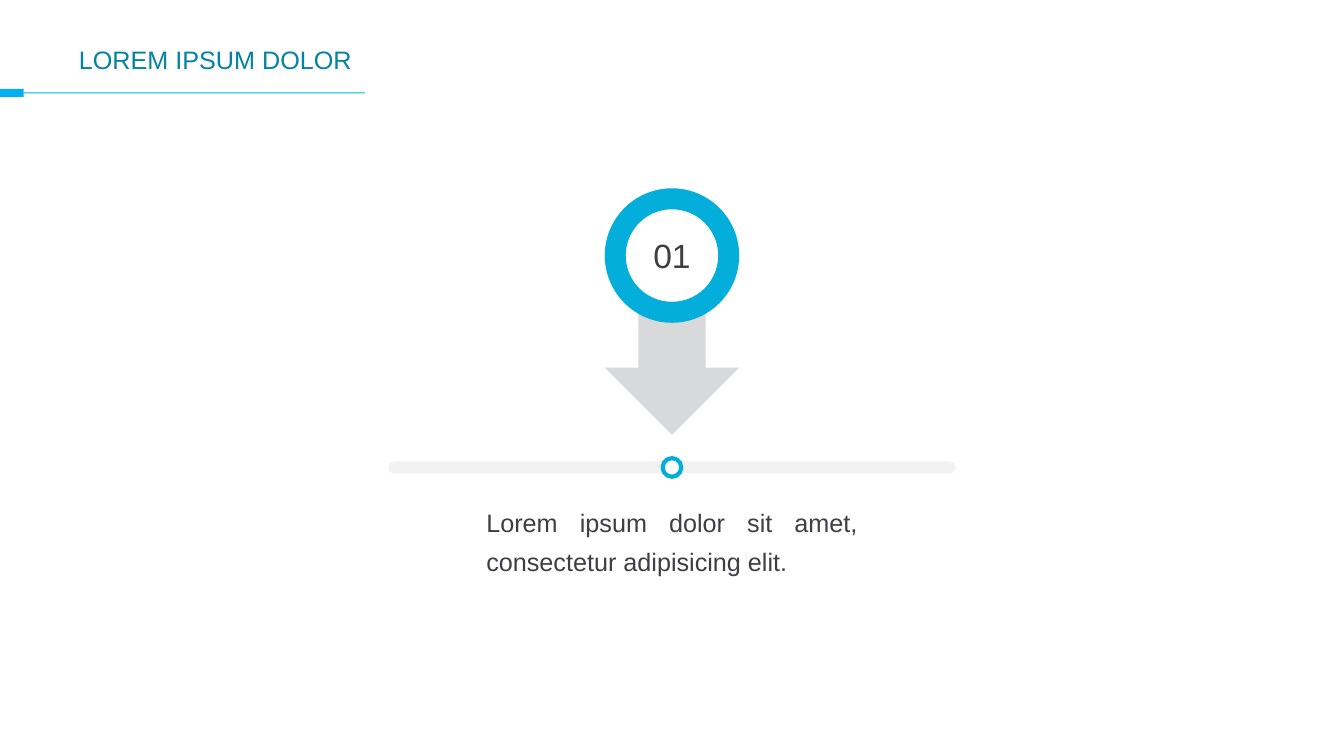
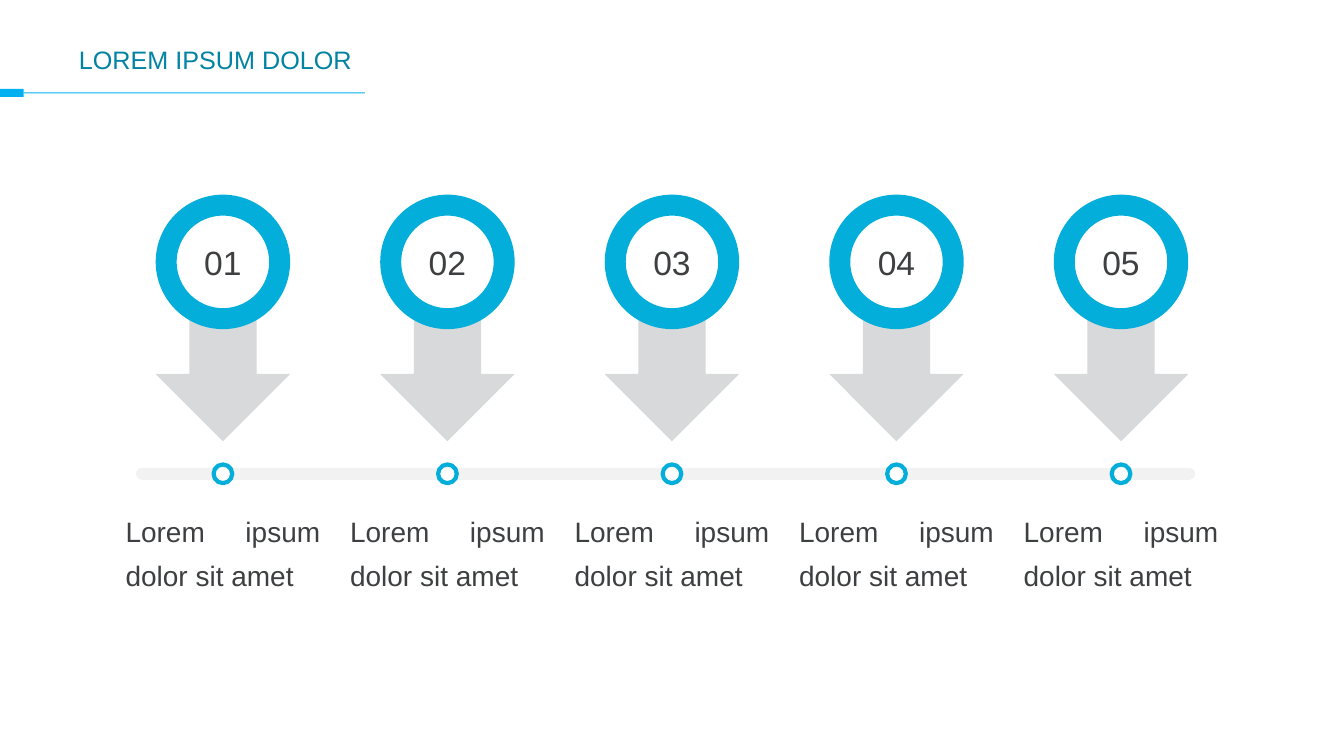
"""Build two timeline slides whose numbered pins point at a bar."""
import dataclasses

import lxml.etree
import pptx
import pptx.dml.color
import pptx.enum.shapes
import pptx.enum.text
import pptx.oxml.ns
import pptx.util

Cm = pptx.util.Cm
Pt = pptx.util.Pt
SHAPE = pptx.enum.shapes.MSO_SHAPE
ALIGN = pptx.enum.text.PP_ALIGN
ANCHOR = pptx.enum.text.MSO_ANCHOR


@dataclasses.dataclass(frozen=True)
class Theme:
    """Hold the colours, font and type sizes of the deck."""
    font: str = "Arial"
    title: str = "0383A3"
    accent: str = "00B0F0"
    ring: str = "04AEDA"
    arrow: str = "D7D9DA"
    bar: str = "F2F2F2"
    white: str = "FFFFFF"
    ink: str = "3D3F41"
    title_size: int = 18
    number_size: int = 24


THEME = Theme()
PAGE_WIDTH, PAGE_HEIGHT = 33.88, 19.05
TITLE = "LOREM IPSUM DOLOR"
PIN_PITCH = 5.66
PAGES = (
    {
        "captions": ["Lorem ipsum dolor sit amet, consectetur adipisicing elit."],
        "bar_y": 11.78, "bar_x": 16.94, "bar_width": 14.3,
        "caption": {"width": 9.86, "inset": 0.25, "size": 18},
    },
    {
        "captions": ["Lorem ipsum dolor sit amet"] * 5,
        "bar_y": 11.94, "bar_x": 16.78, "bar_width": 26.7,
        "caption": {"width": 5.31, "inset": 0.2, "size": 20},
    },
)


def rgb(value):
    """Turn a hex string into a colour."""
    return pptx.dml.color.RGBColor.from_string(value)


def set_format(target, values):
    """Set each named attribute of the target."""
    for name, value in values.items():
        setattr(target, name, value)


def set_line(line, colour, weight):
    """Give an outline its colour and weight in points."""
    line.color.rgb = rgb(colour)
    line.width = Pt(weight)


def write(box, text, size, colour, align, anchor, inset=(0, 0), spacing=1.0):
    """Write one paragraph into a box."""
    across, down = (Cm(value) for value in inset)
    set_format(box.text_frame, {
        "word_wrap": True, "vertical_anchor": anchor,
        "margin_left": across, "margin_right": across,
        "margin_top": down, "margin_bottom": down,
    })
    para = box.text_frame.paragraphs[0]
    set_format(para, {"alignment": align, "line_spacing": spacing})
    span = para.add_run()
    span.text = text
    set_format(span.font, {"name": THEME.font, "size": Pt(size)})
    span.font.color.rgb = rgb(colour)


def add_figure(shapes, kind, center, middle, width, height, fill, outline=None):
    """Add a filled preset shape around a centre point."""
    figure = shapes.add_shape(kind, Cm(center - width / 2), Cm(middle - height / 2),
                              Cm(width), Cm(height))
    figure.shadow.inherit = False
    figure.fill.solid()
    figure.fill.fore_color.rgb = rgb(fill)
    if outline:
        set_line(figure.line, THEME.ring, outline)
    else:
        figure.line.fill.background()
    return figure


def add_title(page):
    """Add the title with its accent block and rule."""
    block = add_figure(page.shapes, SHAPE.RECTANGLE, 0.3, 2.34, 0.6, 0.2, THEME.accent)
    rule = page.shapes.add_connector(pptx.enum.shapes.MSO_CONNECTOR.STRAIGHT,
                                     Cm(9.2), Cm(2.34), Cm(0.6), Cm(2.34))
    rule.end_connect(block, 3)
    set_line(rule.line, THEME.accent, 0.75)
    lxml.etree.SubElement(rule._element.spPr, pptx.oxml.ns.qn("a:effectLst"))
    box = page.shapes.add_textbox(Cm(1.74), Cm(0.7), Cm(30.48), Cm(1.6))
    write(box, TITLE, THEME.title_size, THEME.title, ALIGN.LEFT, ANCHOR.MIDDLE,
          (0.25, 0.13))


def add_pin(page, number, center, bar_y, text, caption):
    """Add a grouped pin: arrow, numbered ring, dot and caption."""
    shapes = page.shapes.add_group_shape().shapes
    arrow = add_figure(shapes, SHAPE.DOWN_ARROW, center, bar_y - 3.07, 3.39, 4.5,
                       THEME.arrow)
    arrow.adjustments[0] = arrow.adjustments[1] = 0.5
    ring = add_figure(shapes, SHAPE.OVAL, center, bar_y - 5.34, 2.86, 2.86,
                      THEME.white, 15)
    write(ring, f"{number:02}", THEME.number_size, THEME.ink, ALIGN.CENTER,
          ANCHOR.MIDDLE)
    add_figure(shapes, SHAPE.OVAL, center, bar_y, 0.47, 0.47, THEME.white, 3)
    box = shapes.add_textbox(Cm(center - caption["width"] / 2), Cm(bar_y + 0.64),
                             Cm(caption["width"]), Cm(3.4))
    write(box, text, caption["size"], THEME.ink, ALIGN.JUSTIFY, ANCHOR.TOP,
          (caption["inset"], 0.13), 1.3)


def add_timeline(page, captions, bar_y, bar_x, bar_width, caption):
    """Add the bar and evenly spaced pins centred on the page."""
    bar = add_figure(page.shapes, SHAPE.ROUNDED_RECTANGLE, bar_x, bar_y, bar_width,
                     0.3, THEME.bar)
    bar.adjustments[0] = 0.5
    first = PAGE_WIDTH / 2 - PIN_PITCH * (len(captions) - 1) / 2
    for index, text in enumerate(captions):
        add_pin(page, index + 1, first + index * PIN_PITCH, bar_y, text, caption)


def main():
    """Build and save the deck."""
    deck = pptx.Presentation()
    set_format(deck, {"slide_width": Cm(PAGE_WIDTH), "slide_height": Cm(PAGE_HEIGHT)})
    for content in PAGES:
        page = deck.slides.add_slide(deck.slide_layouts[6])
        add_timeline(page, **content)
        add_title(page)
    deck.save("out.pptx")


if __name__ == "__main__":
    main()
